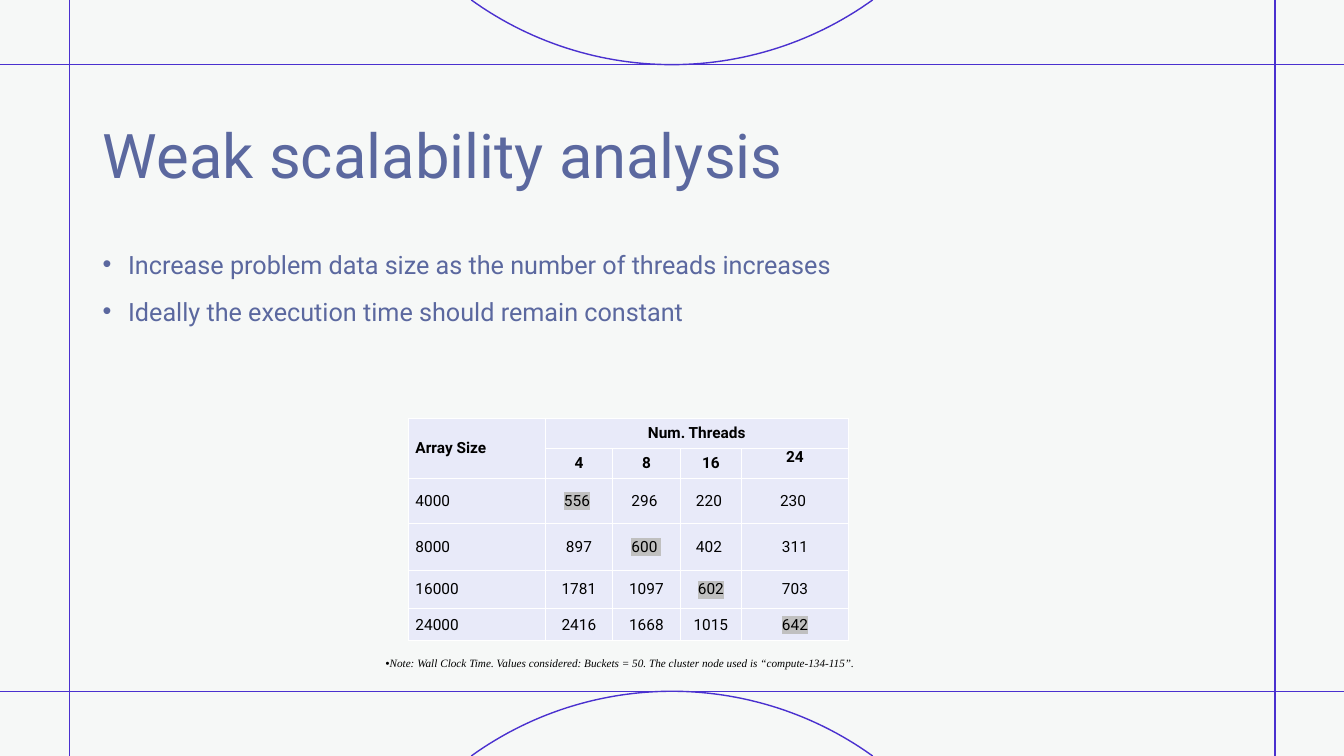
import math
from dataclasses import dataclass

import lxml.etree
import pptx
import pptx.dml.color
import pptx.enum.text
import pptx.oxml.ns
import pptx.util

Cm, Pt = pptx.util.Cm, pptx.util.Pt
ALIGN, ANCHOR = pptx.enum.text.PP_ALIGN, pptx.enum.text.MSO_ANCHOR
qn = pptx.oxml.ns.qn


@dataclass(frozen=True)
class Theme:
    font: str = "Roboto"
    note_font: str = "Times New Roman"
    background: str = "F6F8F7"
    rule: str = "4A31CF"
    text: str = "5B689F"
    ink: str = "000000"
    cell: str = "E8EAF9"
    border: str = "FFFFFF"
    mark: str = "C0C0C0"
    title_size: int = 44
    body_size: int = 18
    table_size: int = 11
    note_size: int = 8
    line_width: int = 1


@dataclass(frozen=True)
class Box:
    left: float
    top: float
    width: float
    height: float

    def lengths(self) -> tuple:
        return Cm(self.left), Cm(self.top), Cm(self.width), Cm(self.height)


@dataclass(frozen=True)
class Cell:
    text: str
    marked: bool = False
    tail: str = ""
    bold: bool = False
    align: ALIGN = ALIGN.CENTER
    anchor: ANCHOR = ANCHOR.MIDDLE


THEME = Theme()
WIDTH, HEIGHT = 33.87, 19.05
LEFT_RULE, RIGHT_RULE, TOP_RULE, BOTTOM_RULE = 1.75, 32.13, 1.63, 17.42
ARC_RADIUS, ARC_STEPS = 8.66, 60

TITLE_BOX = Box(2.34, 2.03, 29.21, 3.68)
BODY_BOX = Box(2.34, 6.07, 29.21, 10.62)
TABLE_BOX = Box(10.29, 10.54, 11.09, 5.61)
NOTE_BOX = Box(9.47, 16.41, 12.85, 0.61)

BULLETS = (
    "Increase problem data size as the number of threads increases",
    "Ideally the execution time should remain constant",
)
NOTE = ("Note: Wall Clock Time. Values considered: Buckets = 50. "
        "The cluster node used is “compute-134-115”.")

COLUMN_WIDTHS = (3.45, 1.7, 1.7, 1.55, 2.69)
ROW_HEIGHTS = (0.76, 0.76, 1.14, 1.17, 0.97, 0.81)


def head(text: str, **options) -> Cell:
    return Cell(text, bold=True, **options)


def size(text: str) -> Cell:
    return Cell(text, align=ALIGN.JUSTIFY)


CELLS = (
    (head("Array Size", align=ALIGN.LEFT), head("Num. Threads"), None, None, None),
    (None, head("4"), head("8"), head("16"), head("24", anchor=ANCHOR.TOP)),
    (size("4000"), Cell("556", True, " "), Cell("296 "), Cell("220 "), Cell("230 ")),
    (size("8000"), Cell("897"), Cell("600 ", True), Cell("402 "), Cell("311")),
    (size("16000"), Cell("1781"), Cell("1097"), Cell("602", True), Cell("703")),
    (size("24000"), Cell("2416"), Cell("1668"), Cell("1015"), Cell("642", True)),
)


def rgb(value: str) -> pptx.dml.color.RGBColor:
    return pptx.dml.color.RGBColor.from_string(value)


def add_solid(parent, tag: str, color: str, **attributes: str) -> None:
    """Append a line element holding a solid colour."""
    line = lxml.etree.SubElement(parent, qn(tag), attributes)
    fill = lxml.etree.SubElement(line, qn("a:solidFill"))
    lxml.etree.SubElement(fill, qn("a:srgbClr"), val=color)


def set_font(p, name: str, points: int, color: str,
             bold: bool = False, italic: bool = False) -> None:
    p.font.name, p.font.size = name, Pt(points)
    p.font.bold, p.font.italic = bold, italic
    p.font.color.rgb = rgb(color)


def add_bullet(p, indent: float = 0) -> None:
    """Call before fonts and spacing, so that child elements stay in order."""
    pr = p._p.get_or_add_pPr()
    pr.set("marL", str(Cm(indent)))
    pr.set("indent", str(-Cm(indent)))
    lxml.etree.SubElement(pr, qn("a:buFont"), typeface="Arial")
    lxml.etree.SubElement(pr, qn("a:buChar"), char="•")


def style_line(line) -> None:
    line.color.rgb = rgb(THEME.rule)
    line.width = Pt(THEME.line_width)


def draw_rule(s, x1: float, y1: float, x2: float, y2: float) -> None:
    rule = s.shapes.add_connector(1, Cm(x1), Cm(y1), Cm(x2), Cm(y2))
    style_line(rule.line)
    lxml.etree.SubElement(rule._element.spPr, qn("a:effectLst"))


def draw_arc(s, touch: float, direction: int) -> None:
    """Draw the visible cap of a circle touching a horizontal rule.

    direction is 1 when the circle lies above the rule, -1 when below.
    """
    half = math.acos(1 - TOP_RULE / ARC_RADIUS)
    angles = [half * (2 * i / ARC_STEPS - 1) for i in range(ARC_STEPS + 1)]
    points = [(Cm(WIDTH / 2 + ARC_RADIUS * math.sin(a)),
               Cm(touch - direction * ARC_RADIUS * (1 - math.cos(a))))
              for a in angles]
    builder = s.shapes.build_freeform(*points[0])
    builder.add_line_segments(points[1:], close=False)
    arc = builder.convert_to_shape()
    arc.fill.background()
    arc.shadow.inherit = False
    style_line(arc.line)


def draw_frame(s) -> None:
    for y in (BOTTOM_RULE, TOP_RULE):
        draw_rule(s, 0, y, WIDTH, y)
    for x in (RIGHT_RULE, LEFT_RULE):
        draw_rule(s, x, HEIGHT, x, 0)
    draw_arc(s, TOP_RULE, 1)
    draw_arc(s, BOTTOM_RULE, -1)


def draw_title(s) -> None:
    title = s.shapes.title
    title.left, title.top, title.width, title.height = TITLE_BOX.lengths()
    tf = title.text_frame
    tf.text = "Weak scalability analysis"
    tf.vertical_anchor = ANCHOR.MIDDLE
    tf.paragraphs[0].alignment = ALIGN.LEFT
    set_font(tf.paragraphs[0], THEME.font, THEME.title_size, THEME.text)


def draw_body(s) -> None:
    tf = s.shapes.add_textbox(*BODY_BOX.lengths()).text_frame
    tf.word_wrap = True
    tf.text = "\n".join(BULLETS)
    for p in tf.paragraphs:
        add_bullet(p, 0.64)
        p.line_spacing, p.space_before = 1.1, Pt(10)
        set_font(p, THEME.font, THEME.body_size, THEME.text)


def fill_cell(target, cell: Cell) -> None:
    target.margin_left = target.margin_right = Cm(0.18)
    target.margin_top = target.margin_bottom = 0
    target.vertical_anchor = cell.anchor
    p = target.text_frame.paragraphs[0]
    p.alignment = cell.align
    set_font(p, THEME.font, THEME.table_size, THEME.ink, cell.bold)
    r = p.add_run()
    r.text = cell.text
    if cell.marked:
        mark = lxml.etree.SubElement(r._r.get_or_add_rPr(), qn("a:highlight"))
        lxml.etree.SubElement(mark, qn("a:srgbClr"), val=THEME.mark)
    if cell.tail:
        p.add_run().text = cell.tail


def draw_table(s) -> None:
    table = s.shapes.add_table(len(ROW_HEIGHTS), len(COLUMN_WIDTHS),
                               *TABLE_BOX.lengths()).table
    table.first_row = table.horz_banding = False
    for column, width in zip(table.columns, COLUMN_WIDTHS):
        column.width = Cm(width)
    for row, height in zip(table.rows, ROW_HEIGHTS):
        row.height = Cm(height)
    table.cell(0, 0).merge(table.cell(1, 0))
    table.cell(0, 1).merge(table.cell(0, 4))
    for i, cells in enumerate(CELLS):
        for j, cell in enumerate(cells):
            target = table.cell(i, j)
            for side in "LRTB":
                add_solid(target._tc.get_or_add_tcPr(), f"a:ln{side}",
                          THEME.border, w=str(Pt(THEME.line_width)))
            target.fill.solid()
            target.fill.fore_color.rgb = rgb(THEME.cell)
            if cell:
                fill_cell(target, cell)


def draw_note(s) -> None:
    tf = s.shapes.add_textbox(*NOTE_BOX.lengths()).text_frame
    tf.word_wrap = True
    tf.vertical_anchor = ANCHOR.MIDDLE
    tf.text = NOTE
    add_bullet(tf.paragraphs[0])
    set_font(tf.paragraphs[0], THEME.note_font, THEME.note_size, THEME.ink, italic=True)


def main() -> None:
    prs = pptx.Presentation()
    prs.slide_width, prs.slide_height = Cm(WIDTH), Cm(HEIGHT)
    s = prs.slides.add_slide(prs.slide_layouts[5])
    s.background.fill.solid()
    s.background.fill.fore_color.rgb = rgb(THEME.background)
    for draw in (draw_frame, draw_title, draw_body, draw_table, draw_note):
        draw(s)
    prs.save("out.pptx")


if __name__ == "__main__":
    main()
